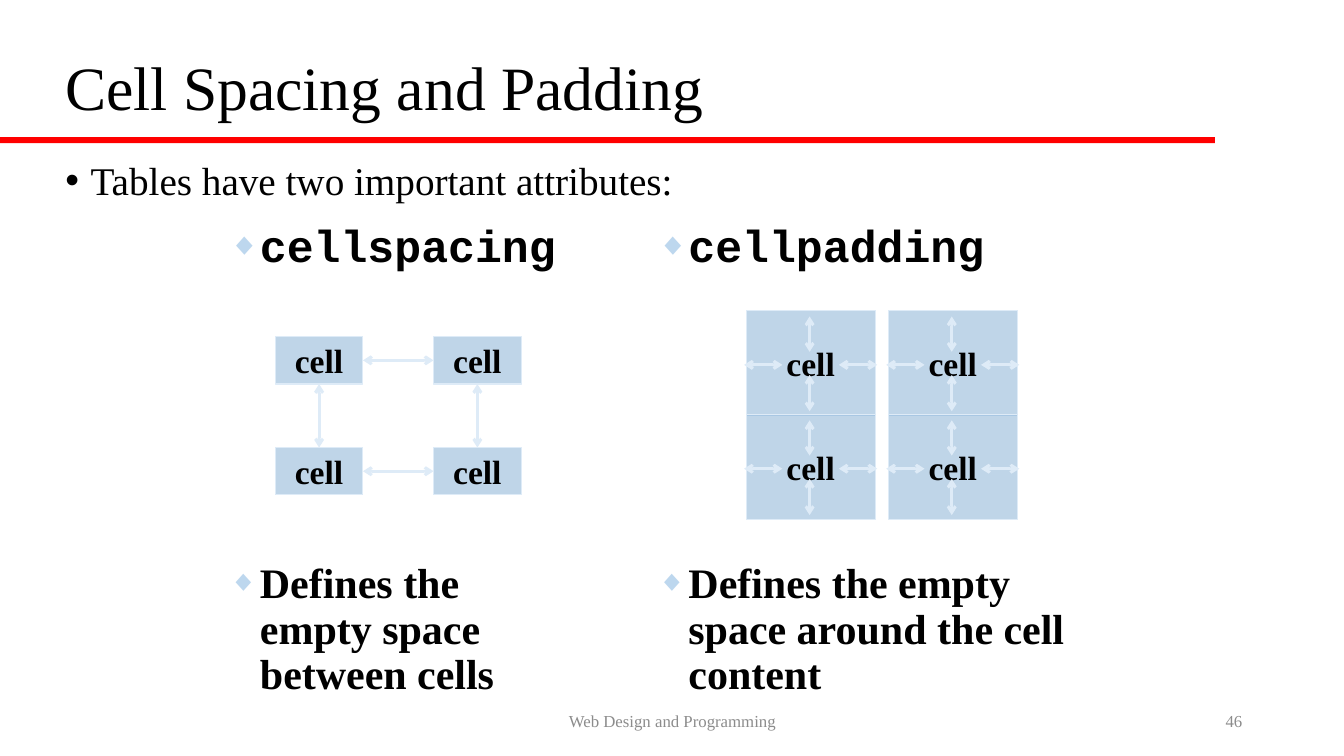
from lxml import etree
from pptx import Presentation
from pptx import util as u
from pptx.dml.color import RGBColor
from pptx.enum import shapes, text
from pptx.oxml.ns import qn

SERIF, MONO = "Times New Roman", "Courier New"
ARROW_COLOUR, CELL_COLOUR, DIAMOND_COLOUR = "DEEBF7", "2E75B6", "BDD7EE"
colour = RGBColor.from_string

presentation = Presentation()
presentation.slide_width, presentation.slide_height = u.Inches(13.33), u.Inches(7.5)
slide = presentation.slides.add_slide(presentation.slide_layouts[6])


def write(shape, words, size, font=SERIF, bold=False, ink="000000", spacing=None,
          align=text.PP_ALIGN.LEFT, anchor=text.MSO_ANCHOR.TOP, bullet=None):
    """Fill a shape with one paragraph; bullet is (symbol, indent, colour, percent)."""
    frame = shape.text_frame
    frame.word_wrap = True
    frame.vertical_anchor = anchor
    paragraph = frame.paragraphs[0]
    paragraph.text = words
    paragraph.alignment = align
    if spacing:
        paragraph.line_spacing = spacing
    if bullet:
        symbol, indent, bullet_colour, percent = bullet
        properties = paragraph._p.get_or_add_pPr()
        properties.set("marL", str(u.Inches(indent)))
        properties.set("indent", str(-u.Inches(indent)))
        holder = etree.SubElement(properties, qn("a:buClr"))
        etree.SubElement(holder, qn("a:srgbClr"), val=bullet_colour)
        etree.SubElement(properties, qn("a:buSzPct"), val=str(percent * 1000))
        etree.SubElement(properties, qn("a:buFont"), typeface="Arial")
        etree.SubElement(properties, qn("a:buChar"), char=symbol)
    paragraph.font.name = font
    paragraph.font.size = u.Pt(size)
    paragraph.font.bold = bold
    paragraph.font.color.rgb = colour(ink)


def add_cell(left, top, width, height, arrows):
    """Draw a translucent cell and its double arrows, placed from its corner."""
    cell = slide.shapes.add_shape(shapes.MSO_SHAPE.RECTANGLE, *map(u.Inches, (left, top, width, height)))
    cell.shadow.inherit = False
    cell.fill.solid()
    cell.fill.fore_color.rgb = colour(CELL_COLOUR)
    tint = cell._element.spPr.find(qn("a:solidFill"))[0]
    etree.SubElement(tint, qn("a:alpha"), val="30000")
    cell.line.color.rgb = colour(ARROW_COLOUR)
    cell.line.width = u.Pt(0.75)
    write(cell, "cell", 24, bold=True, align=text.PP_ALIGN.CENTER, anchor=text.MSO_ANCHOR.MIDDLE)
    frame = cell.text_frame
    frame.word_wrap = False
    frame.margin_left = frame.margin_right = frame.margin_top = frame.margin_bottom = 0
    for x1, y1, x2, y2 in arrows:
        ends = (left + x1, top + y1, left + x2, top + y2)
        arrow = slide.shapes.add_connector(shapes.MSO_CONNECTOR.STRAIGHT, *map(u.Inches, ends))
        arrow.line.color.rgb = colour(ARROW_COLOUR)
        arrow.line.width = u.Pt(2)
        line = arrow.line._get_or_add_ln()
        for end in ("a:headEnd", "a:tailEnd"):
            etree.SubElement(line, qn(end), type="arrow")
        etree.SubElement(arrow._element.spPr, qn("a:effectLst"))


# Title, lead line and footer
middle = text.MSO_ANCHOR.MIDDLE
dot = ("•", 0.25, "000000", 100)
footer = dict(size=12, ink="8C8C8C", anchor=middle)
texts = [
    ((0.55, 0.17, 11.5, 1.45), "Cell Spacing and Padding", dict(size=44, spacing=0.9, anchor=middle)),
    ((0.55, 1.55, 11.5, 0.87), "Tables have two important attributes:", dict(size=28, spacing=0.9, bullet=dot)),
    ((4.42, 6.95, 4.5, 0.4), "Web Design and Programming", dict(footer, align=text.PP_ALIGN.CENTER)),
    ((9.42, 6.95, 3, 0.4), "46", dict(footer, align=text.PP_ALIGN.RIGHT)),
]

# Attribute names above, definitions below
diamond = dict(bold=True, spacing=0.9, bullet=("◆", 0.31, DIAMOND_COLOUR, 70))
for left, width, name, definition in [
    (2.17, 3.67, "cellspacing", "Defines the empty space between cells"),
    (6.42, 4.67, "cellpadding", "Defines the empty space around the cell content"),
]:
    texts.append(((left, 2.17, width, 0.7), name, dict(diamond, size=32, font=MONO)))
    texts.append(((left, 5.53, width, 1.45), definition, dict(diamond, size=30)))

for box, words, style in texts:
    write(slide.shapes.add_textbox(*map(u.Inches, box)), words, **style)

# Red rule under the title
rule = slide.shapes.add_shape(shapes.MSO_SHAPE.RECTANGLE, *map(u.Inches, (0, 1.36, 12.05, 0.06)))
rule.shadow.inherit = False
rule.fill.solid()
rule.fill.fore_color.rgb = colour("FF0000")
rule.line.fill.background()

# Cell spacing: arrows bridge the gaps to the next column and row
width, height, column_step, row_step = 0.87, 0.47, 1.57, 1.1
to_right = (width, height / 2, column_step, height / 2)
to_below = (width / 2, height, width / 2, row_step)
for row in range(2):
    for column in range(2):
        arrows = [to_right] * (column == 0) + [to_below] * (row == 0)
        add_cell(2.73 + column * column_step, 3.34 + row * row_step, width, height, arrows)

# Cell padding: four arrows inside every cell
inner_arrows = [(0.63, 0.64, 0.63, 1), (-0.02, 0.54, 0.36, 0.54),
                (0.92, 0.54, 1.3, 0.54), (0.63, 0.06, 0.63, 0.41)]
for column in range(2):
    for row in range(2):
        add_cell(7.4 + column * 1.41, 3.08 + row * 1.03, 1.28, 1.04, inner_arrows)

presentation.save("out.pptx")
